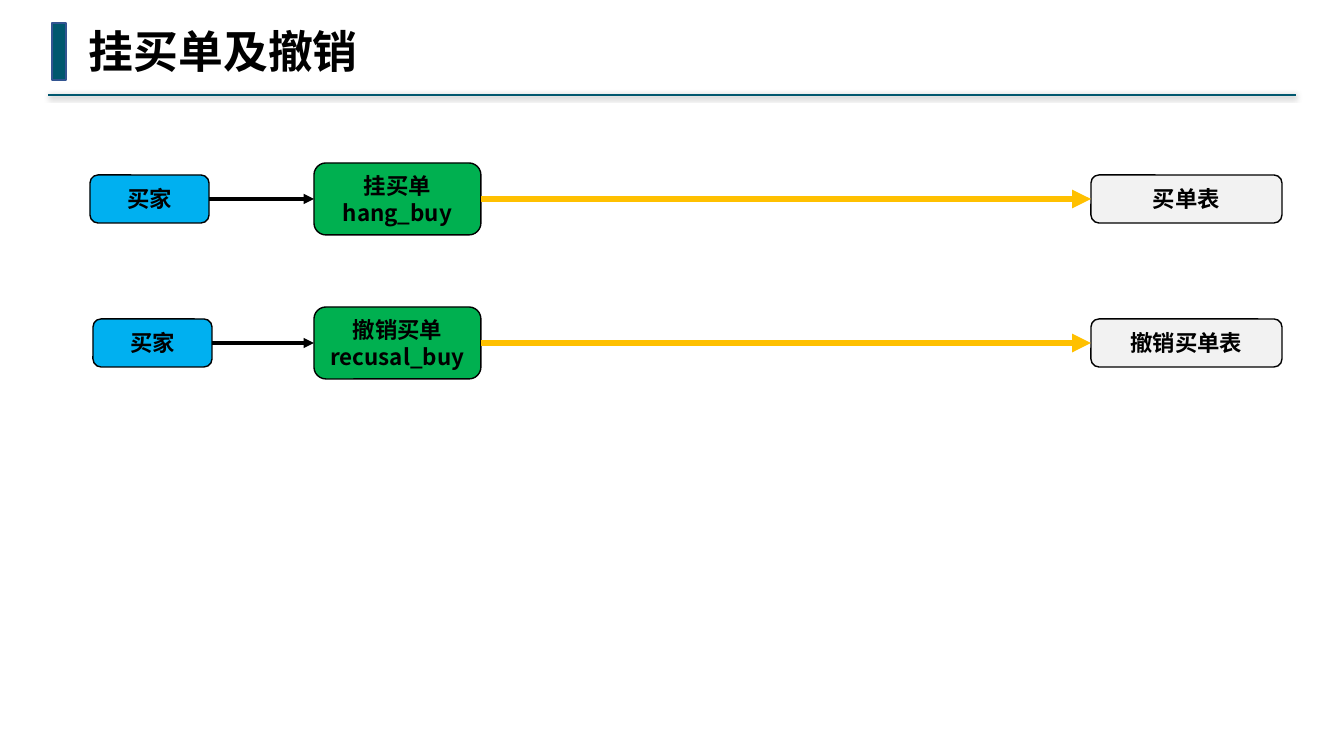
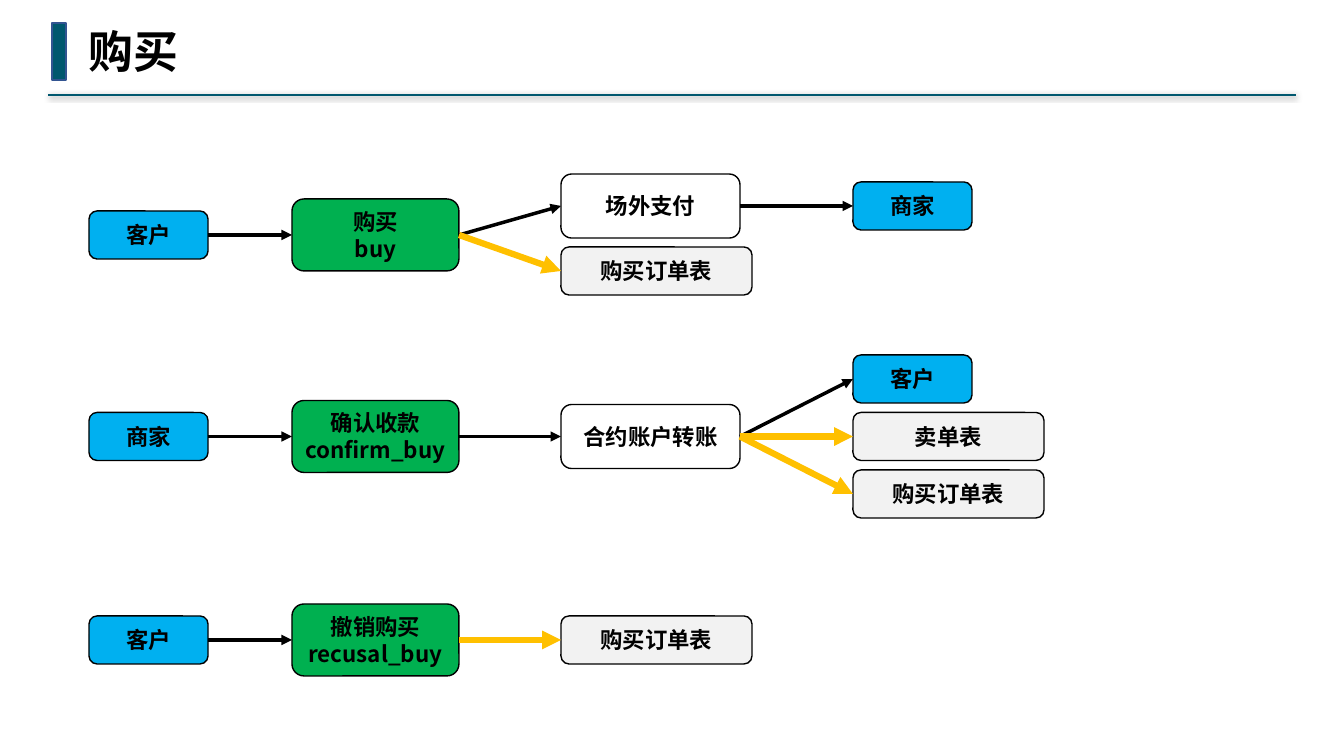
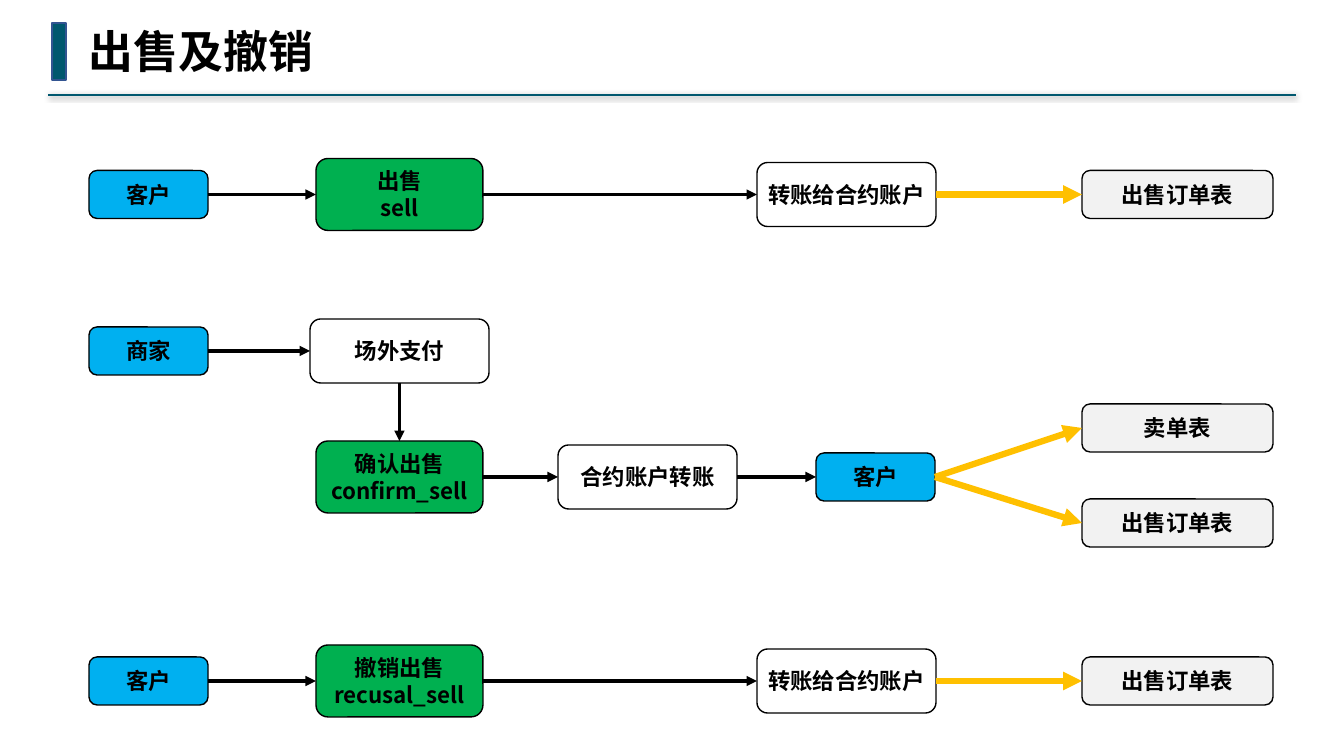
from dataclasses import dataclass
from typing import Any

from lxml import etree
from pptx import Presentation
from pptx import util as u
from pptx.dml.color import RGBColor
from pptx.enum import shapes, text
from pptx.oxml import ns

EMU_PER_PIXEL = 914400 / 100.8
TEAL, BAR_EDGE, BLACK, AMBER = "00576E", "325491", "000000", "FFC000"
TITLE_FONT, BODY_FONT = "Noto Sans Mono", "Noto Sans CJK SC"
# kind of node: width, height, fill
NODES = {
    "party": (119, 48, "00B0F0"),
    "step": (167, 72, "00B050"),
    "action": (179, 64, "FFFFFF"),
    "table": (191, 48, "F2F2F2"),
}
TOP, LEFT, BOTTOM, RIGHT = range(4)  # connection sites of a rounded box


@dataclass
class Region:
    """A box on a slide; its parts are placed from its left top corner."""
    slide: Any
    left: int
    top: int
    width: int
    height: int


def px(length):
    """Turn pixels into EMU."""
    return u.Emu(round(length * EMU_PER_PIXEL))


def color(value):
    """Turn a hex string into a colour."""
    return RGBColor.from_string(value)


def add_xml(parent, tag, **attributes):
    """Append a DrawingML element and return it."""
    return etree.SubElement(parent, ns.qn(tag), attributes)


def paint(shape, fill, edge):
    """Give a shape a flat fill and a thin outline."""
    shape.shadow.inherit = False
    shape.fill.solid()
    shape.fill.fore_color.rgb = color(fill)
    shape.line.color.rgb = color(edge)
    shape.line.width = u.Pt(1)


def write(frame, words, font, size, align):
    """Fill a text frame with bold black unwrapped paragraphs."""
    frame.word_wrap = False
    frame.text = words
    for paragraph in frame.paragraphs:
        paragraph.alignment = align
        paragraph.font.name = font
        paragraph.font.size = u.Pt(size)
        paragraph.font.bold = True
        paragraph.font.color.rgb = color(BLACK)
        for properties in paragraph._p.iter(ns.qn("a:defRPr")):
            add_xml(properties, "a:ea", typeface=font)


def stroke(line, tint, width):
    """Style a connector and return its empty effect list."""
    line.line.color.rgb = color(tint)
    line.line.width = u.Pt(width)
    return add_xml(line._element.spPr, "a:effectLst")


def header(region, title):
    """Draw the title with its bar and the shadowed rule below."""
    drawn, left, top = region.slide.shapes, region.left, region.top
    bottom = top + region.height
    rule = drawn.add_connector(shapes.MSO_CONNECTOR.STRAIGHT,
                               px(left + region.width), px(bottom), px(left), px(bottom))
    effects = stroke(rule, TEAL, 1.5)
    shadow = add_xml(effects, "a:outerShdw", blurRad=str(u.Pt(4)), dist=str(u.Pt(1)),
                     dir="5400000", algn="t", rotWithShape="0")
    add_xml(add_xml(shadow, "a:srgbClr", val=BLACK), "a:alpha", val="40000")

    bar = drawn.add_shape(shapes.MSO_SHAPE.RECTANGLE,
                          px(left + 4), px(top + 4), px(14), px(57))
    paint(bar, TEAL, BAR_EDGE)

    heading = drawn.add_textbox(px(left + 31), px(top), px(20 + 45 * len(title)), px(65))
    write(heading.text_frame, title, TITLE_FONT, 32, text.PP_ALIGN.LEFT)
    heading.text_frame.auto_size = text.MSO_AUTO_SIZE.SHAPE_TO_FIT_TEXT


def node(body, kind, left, middle, label):
    """Draw one labelled box, centred on a height within the body."""
    width, height, fill = NODES[kind]
    box = body.slide.shapes.add_shape(
        shapes.MSO_SHAPE.ROUNDED_RECTANGLE, px(body.left + left),
        px(body.top + middle - height / 2), px(width), px(height))
    paint(box, fill, BLACK)
    frame = box.text_frame
    frame.margin_left = frame.margin_right = px(4)
    frame.margin_top = frame.margin_bottom = px(4)
    frame.vertical_anchor = text.MSO_ANCHOR.MIDDLE
    write(frame, label, BODY_FONT, 16, text.PP_ALIGN.CENTER)
    return box


def arrow(body, source, target, tint=BLACK, width=2.5, sites=(RIGHT, LEFT)):
    """Join two boxes with an arrow."""
    link = body.slide.shapes.add_connector(shapes.MSO_CONNECTOR.STRAIGHT, 0, 0, 0, 0)
    link.begin_connect(source, sites[0])
    link.end_connect(target, sites[1])
    stroke(link, tint, width)
    add_xml(link.line._get_or_add_ln(), "a:tailEnd", type="triangle")


def flow(body, middle, *steps, after=None):
    """Draw boxes along a row, each linked to the one before; return them.

    Links that end in a table are the thick amber ones.
    """
    boxes = []
    for kind, left, label in steps:
        box = node(body, kind, left, middle, label)
        if after is not None:
            style = (AMBER, 4.5) if kind == "table" else (BLACK, 2.5)
            arrow(body, after, box, *style)
        boxes.append(box)
        after = box
    return boxes


def hang_page(body):
    """Placing and withdrawing a buy order."""
    rows = [(99, 1, "挂买单\nhang_buy", "买单表"),
            (243, 4, "撤销买单\nrecusal_buy", "撤销买单表")]
    for middle, left, step, table in rows:
        flow(body, middle, ("party", left, "买家"), ("step", 225, step),
             ("table", 1002, table))


def buy_page(body):
    """Buying, confirming payment and withdrawing."""
    step, result, outcome = 203, 472, 764
    orders = "购买订单表"
    _, buy = flow(body, 135, ("party", 0, "客户"), ("step", step, "购买\nbuy"))
    flow(body, 106, ("action", result, "场外支付"), ("party", outcome, "商家"), after=buy)
    flow(body, 171, ("table", result, orders), after=buy)

    *_, transfer = flow(body, 336.5, ("party", 0, "商家"),
                        ("step", step, "确认收款\nconfirm_buy"),
                        ("action", result, "合约账户转账"))
    outcomes = [("party", "客户"), ("table", "卖单表"), ("table", orders)]
    for index, (kind, label) in enumerate(outcomes):
        flow(body, 279 + 57.5 * index, (kind, outcome, label), after=transfer)

    flow(body, 540, ("party", 0, "客户"), ("step", step, "撤销购买\nrecusal_buy"),
         ("table", result, orders))


def sell_page(body):
    """Selling, confirming the sale and withdrawing."""
    step, deposit, record = 227, 668, 993
    orders = "出售订单表"
    for middle, label in [(94.5, "出售\nsell"), (581, "撤销出售\nrecusal_sell")]:
        flow(body, middle, ("party", 0, "客户"), ("step", step, label),
             ("action", deposit, "转账给合约账户"), ("table", record, orders))

    _, payment = flow(body, 251, ("party", 0, "商家"), ("action", step - 6, "场外支付"))
    confirm, _, customer = flow(body, 377, ("step", step, "确认出售\nconfirm_sell"),
                                ("action", 469, "合约账户转账"), ("party", 727, "客户"))
    arrow(body, payment, confirm, sites=(BOTTOM, TOP))
    for middle, label in [(328, "卖单表"), (423, orders)]:
        flow(body, middle, ("table", record, label), after=customer)


def main():
    """Build the three slides and save them."""
    deck = Presentation()
    deck.slide_width, deck.slide_height = px(1344), px(756)
    pages = [("挂买单及撤销", hang_page), ("购买", buy_page), ("出售及撤销", sell_page)]
    for title, draw in pages:
        slide = deck.slides.add_slide(deck.slide_layouts[6])
        header(Region(slide, 48, 19, 1248, 76), title)
        draw(Region(slide, 89, 100, 1193, 620))
    deck.save("out.pptx")


main()
